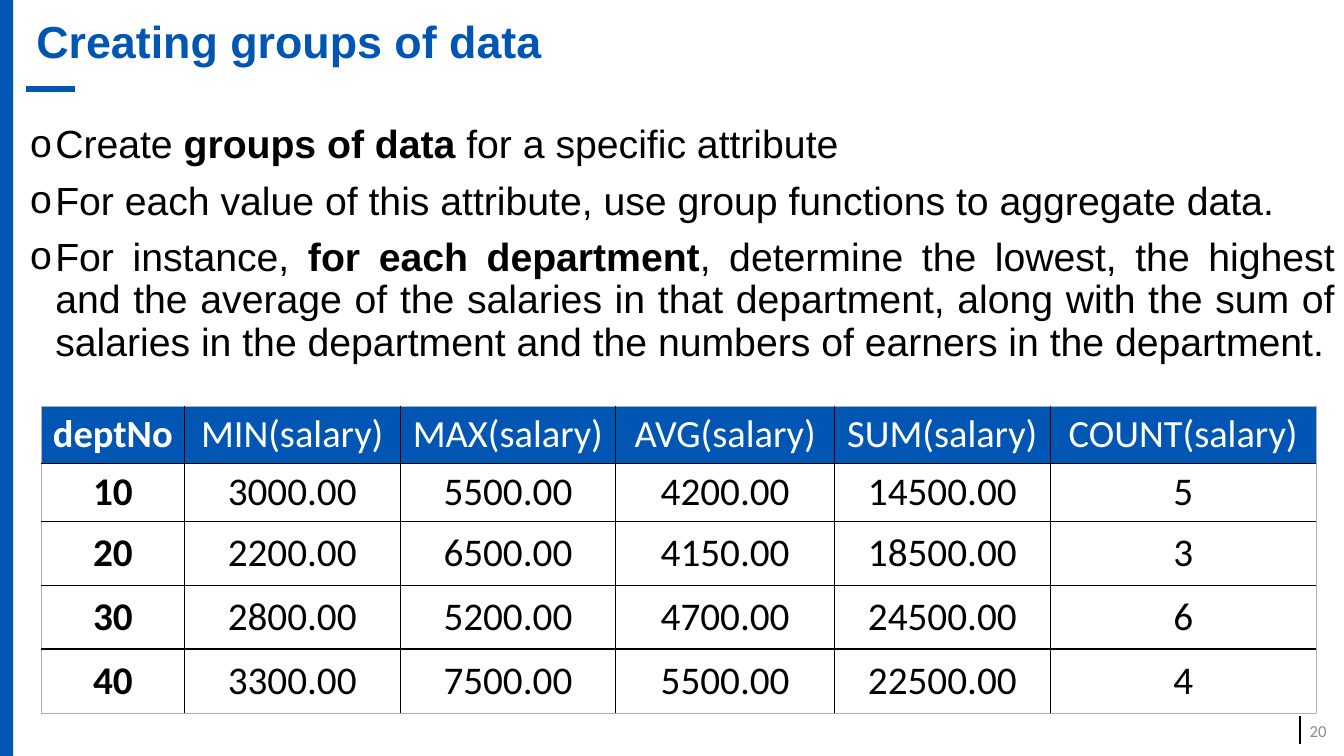
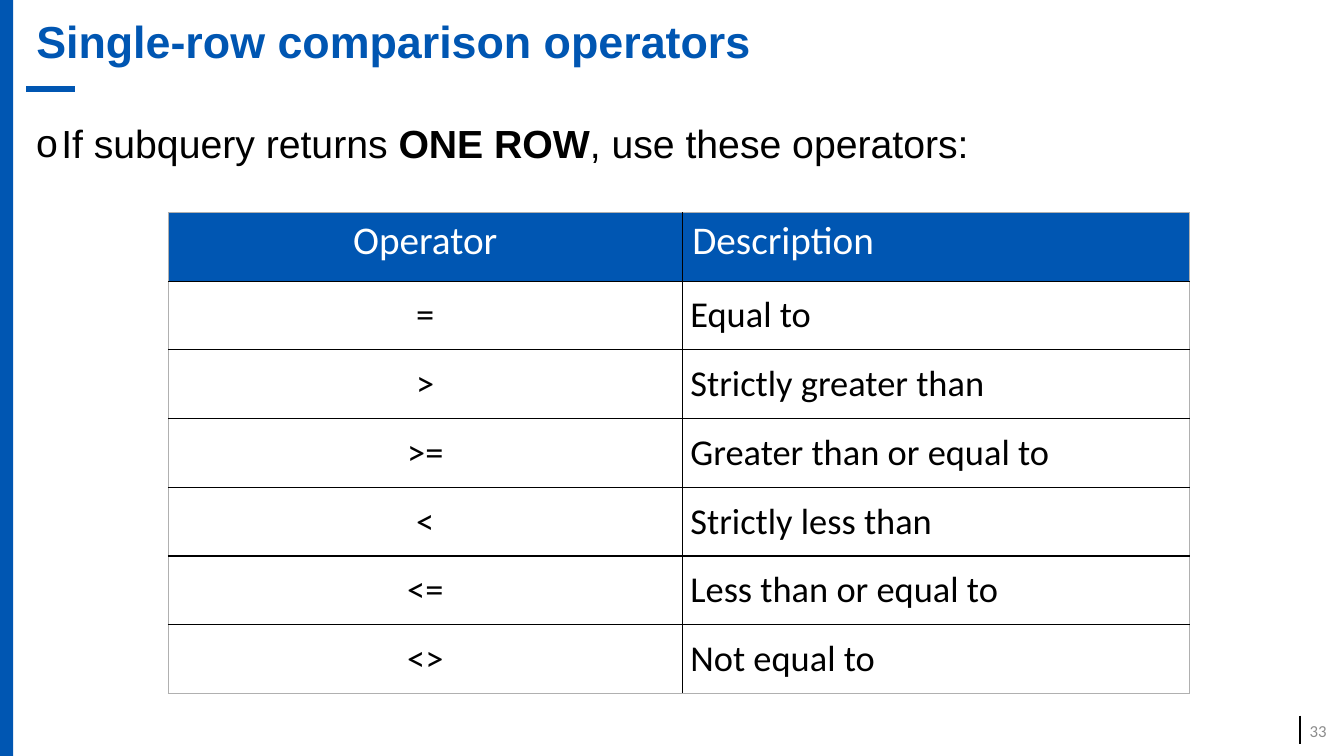
import lxml.etree
import pptx
import pptx.dml.color
import pptx.enum.shapes
import pptx.enum.text
import pptx.oxml.ns
import pptx.util

Pt = pptx.util.Pt
RGBColor = pptx.dml.color.RGBColor
Align = pptx.enum.text.PP_ALIGN
Anchor = pptx.enum.text.MSO_ANCHOR
qn = pptx.oxml.ns.qn

BLUE = RGBColor(0x00, 0x56, 0xB2)
BLACK = RGBColor(0x00, 0x00, 0x00)
WHITE = RGBColor(0xFF, 0xFF, 0xFF)
PAGE_GRAY = RGBColor(0x8C, 0x8C, 0x8C)
EDGE_GRAY = RGBColor(0xB0, 0xB0, 0xB0)

SLIDE_WIDTH, SLIDE_HEIGHT = 960, 540
TITLE_ONLY = 5
BULLET_INDENT = 18

TITLE_FONT = {"name": "Arial", "size": Pt(32), "bold": True}
BODY_FONT = {"name": "Arial", "size": Pt(28), "bold": False}
PAGE_FONT = {"name": "Calibri", "size": Pt(12), "bold": False}
FRAME_FORMAT = {"word_wrap": True, "auto_size": pptx.enum.text.MSO_AUTO_SIZE.NONE}
HEADER_MARGINS = {"margin_left": Pt(7.2), "margin_right": Pt(7.2),
                  "margin_top": Pt(3.6), "margin_bottom": Pt(3.6)}
BODY_MARGINS = {"margin_left": Pt(5.76), "margin_right": Pt(5.76),
                "margin_top": Pt(3.6), "margin_bottom": Pt(3.6)}


def apply_format(target, values):
    for name, value in values.items():
        setattr(target, name, value)


def add_run(paragraph, text, font_format, color):
    run = paragraph.add_run()
    run.text = text
    apply_format(run.font, font_format)
    run.font.color.rgb = color


def add_line(slide, start, end, color, width):
    connector = slide.shapes.add_connector(
        pptx.enum.shapes.MSO_CONNECTOR.STRAIGHT, *map(Pt, start + end))
    connector.line.color.rgb = color
    connector.line.width = Pt(width)
    properties = connector.element.find(qn("p:spPr"))
    lxml.etree.SubElement(properties, qn("a:effectLst"))


def add_text_frame(slide, box):
    frame = slide.shapes.add_textbox(*map(Pt, box)).text_frame
    apply_format(frame, FRAME_FORMAT)
    return frame


def add_slide(presentation, title_text, page_number):
    slide = presentation.slides.add_slide(presentation.slide_layouts[TITLE_ONLY])

    band = slide.shapes.add_shape(
        pptx.enum.shapes.MSO_SHAPE.RECTANGLE, 0, 0, Pt(9.4), Pt(SLIDE_HEIGHT))
    band.shadow.inherit = False
    band.fill.solid()
    band.fill.fore_color.rgb = BLUE
    band.line.fill.background()
    add_line(slide, (928.8, 511.2), (928.8, 531.4), BLACK, 1.5)
    add_line(slide, (53.3, 63.4), (18.7, 63.4), BLUE, 4)

    title = slide.shapes.title
    apply_format(title, {"left": Pt(18.7), "top": 0,
                         "width": Pt(931.7), "height": Pt(63.4)})
    apply_format(title.text_frame,
                 {**FRAME_FORMAT, "vertical_anchor": Anchor.MIDDLE})
    paragraph = title.text_frame.paragraphs[0]
    apply_format(paragraph, {"alignment": Align.LEFT, "line_spacing": 0.9})
    add_run(paragraph, title_text, TITLE_FONT, BLUE)

    frame = add_text_frame(slide, (924.5, 507.6, 30.2, 28.8))
    frame.vertical_anchor = Anchor.MIDDLE
    frame.paragraphs[0].alignment = Align.RIGHT
    add_run(frame.paragraphs[0], str(page_number), PAGE_FONT, PAGE_GRAY)
    return slide


def set_bullet(paragraph):
    properties = paragraph._p.get_or_add_pPr()
    properties.set("marL", str(Pt(BULLET_INDENT)))
    properties.set("indent", str(-Pt(BULLET_INDENT)))
    lxml.etree.SubElement(properties, qn("a:buFont"), typeface="Arial")
    lxml.etree.SubElement(properties, qn("a:buChar"), char="o")


def add_bullets(slide, box, bullets, alignment):
    frame = add_text_frame(slide, box)
    for index, parts in enumerate(bullets):
        paragraph = frame.add_paragraph() if index else frame.paragraphs[0]
        apply_format(paragraph, {"alignment": alignment, "line_spacing": 0.9,
                                 "space_before": Pt(10)})
        set_bullet(paragraph)
        for text, bold in parts:
            add_run(paragraph, text, {**BODY_FONT, "bold": bold}, BLACK)


def set_borders(cell, outer_sides):
    properties = cell._tc.get_or_add_tcPr()
    for side in "LRTB":
        is_outer = side in outer_sides
        width = Pt(0.5) if is_outer else Pt(1)
        color = EDGE_GRAY if is_outer else BLACK
        line = lxml.etree.SubElement(properties, qn(f"a:ln{side}"), w=str(width))
        fill = lxml.etree.SubElement(line, qn("a:solidFill"))
        lxml.etree.SubElement(fill, qn("a:srgbClr"), val=str(color))


def fill_cell(cell, text, alignment, size, bold, is_header):
    if is_header:
        cell.fill.solid()
        cell.fill.fore_color.rgb = BLUE
    else:
        cell.fill.background()
    apply_format(cell, HEADER_MARGINS if is_header else BODY_MARGINS)
    cell.vertical_anchor = Anchor.TOP if is_header else Anchor.MIDDLE
    paragraph = cell.text_frame.paragraphs[0]
    paragraph.alignment = alignment
    add_run(paragraph, text, {"name": "Calibri", "size": Pt(size), "bold": bold},
            WHITE if is_header else BLACK)


def add_data_table(slide, position, widths, heights, rows, alignments,
                   header_size, body_size, bold_first_column=False):
    left, top = position
    table = slide.shapes.add_table(
        len(rows), len(widths), Pt(left), Pt(top),
        Pt(sum(widths)), Pt(sum(heights))).table
    for column, width in zip(table.columns, widths):
        column.width = Pt(width)
    for row, height in zip(table.rows, heights):
        row.height = Pt(height)
    last_row, last_column = len(rows) - 1, len(widths) - 1
    for row_index, values in enumerate(rows):
        for column_index, text in enumerate(values):
            cell = table.cell(row_index, column_index)
            edges = {"L": column_index == 0, "R": column_index == last_column,
                     "T": row_index == 0, "B": row_index == last_row}
            set_borders(cell, [side for side, outer in edges.items() if outer])
            is_header = row_index == 0
            fill_cell(cell, text, alignments[column_index],
                      header_size if is_header else body_size,
                      bold_first_column and column_index == 0, is_header)


def build_groups_slide(presentation):
    slide = add_slide(presentation, "Creating groups of data", 20)
    bullets = [
        [("Create ", False), ("groups of data ", True),
         ("for a specific attribute", False)],
        [("For each value of this attribute, use group functions to "
          "aggregate data.", False)],
        [("For instance, ", False), ("for each department", True),
         (", determine the lowest, the highest and the average of the salaries "
          "in that department, along with the sum of salaries in the department "
          "and the numbers of earners in the department.", False)],
    ]
    add_bullets(slide, (14.4, 85.7, 946, 184.3), bullets, Align.JUSTIFY)
    rows = [
        ("deptNo", "MIN(salary)", "MAX(salary)", "AVG(salary)", "SUM(salary)",
         "COUNT(salary)"),
        ("10", "3000.00", "5500.00", "4200.00", "14500.00", "5"),
        ("20", "2200.00", "6500.00", "4150.00", "18500.00", "3"),
        ("30", "2800.00", "5200.00", "4700.00", "24500.00", "6"),
        ("40", "3300.00", "7500.00", "5500.00", "22500.00", "4"),
    ]
    add_data_table(slide, (29.5, 290.2), (102.2, 154.1, 154.1, 156.2, 154.1, 190),
                   (40.8, 41.4, 45.6, 45.6, 45.6), rows, [Align.CENTER] * 6,
                   27.5, 28, bold_first_column=True)


def build_operators_slide(presentation):
    slide = add_slide(presentation, "Single-row comparison operators", 33)
    bullets = [[("If subquery returns ", False), ("ONE ROW", True),
                (", use these operators:", False)]]
    add_bullets(slide, (18.7, 85.7, 931.7, 41), bullets, Align.LEFT)
    rows = [
        ("Operator", "Description"),
        ("=", "Equal to"),
        (">", "Strictly greater than"),
        (">=", "Greater than or equal to"),
        ("<", "Strictly less than"),
        ("<=", "Less than or equal to"),
        ("<>", "Not equal to"),
    ]
    add_data_table(slide, (120.2, 151.7), (367.2, 362.2), [49.1] * len(rows),
                   rows, (Align.CENTER, Align.LEFT), 28, 26)


def main():
    presentation = pptx.Presentation()
    presentation.slide_width = Pt(SLIDE_WIDTH)
    presentation.slide_height = Pt(SLIDE_HEIGHT)
    build_groups_slide(presentation)
    build_operators_slide(presentation)
    presentation.save("out.pptx")


if __name__ == "__main__":
    main()
